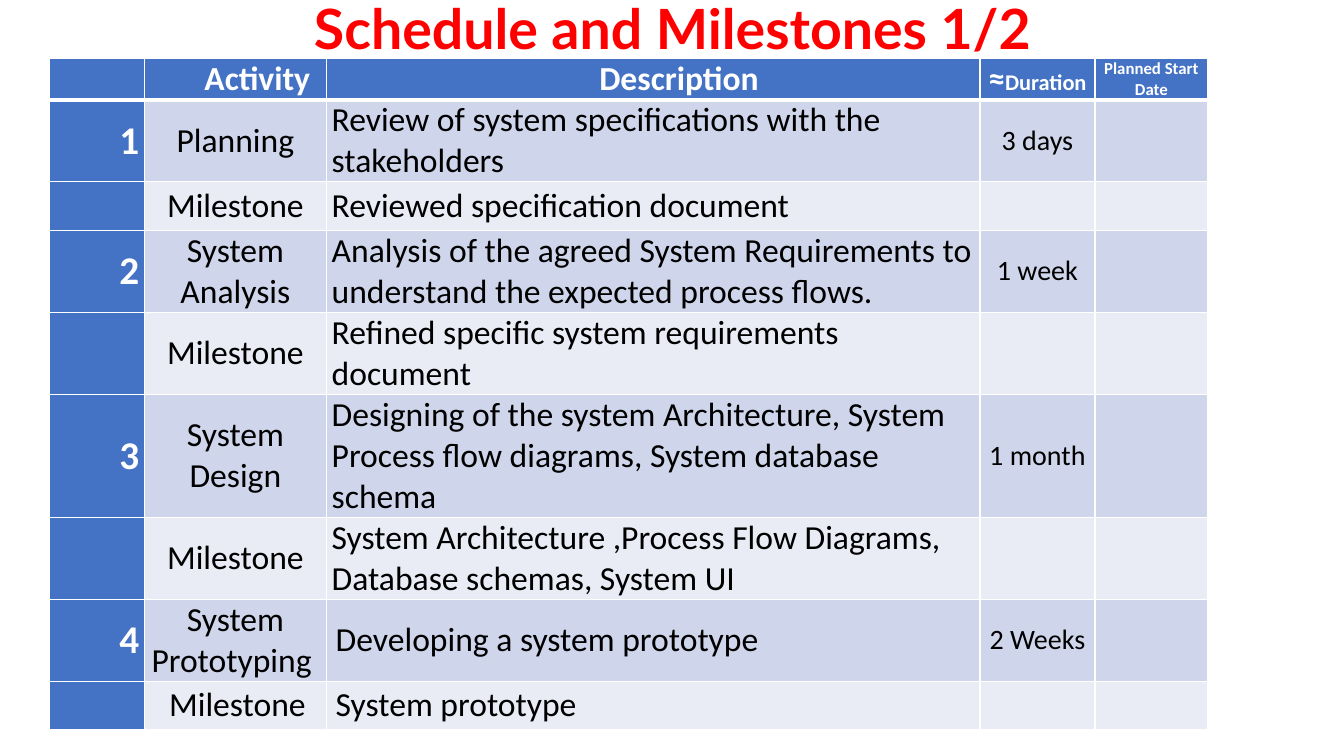
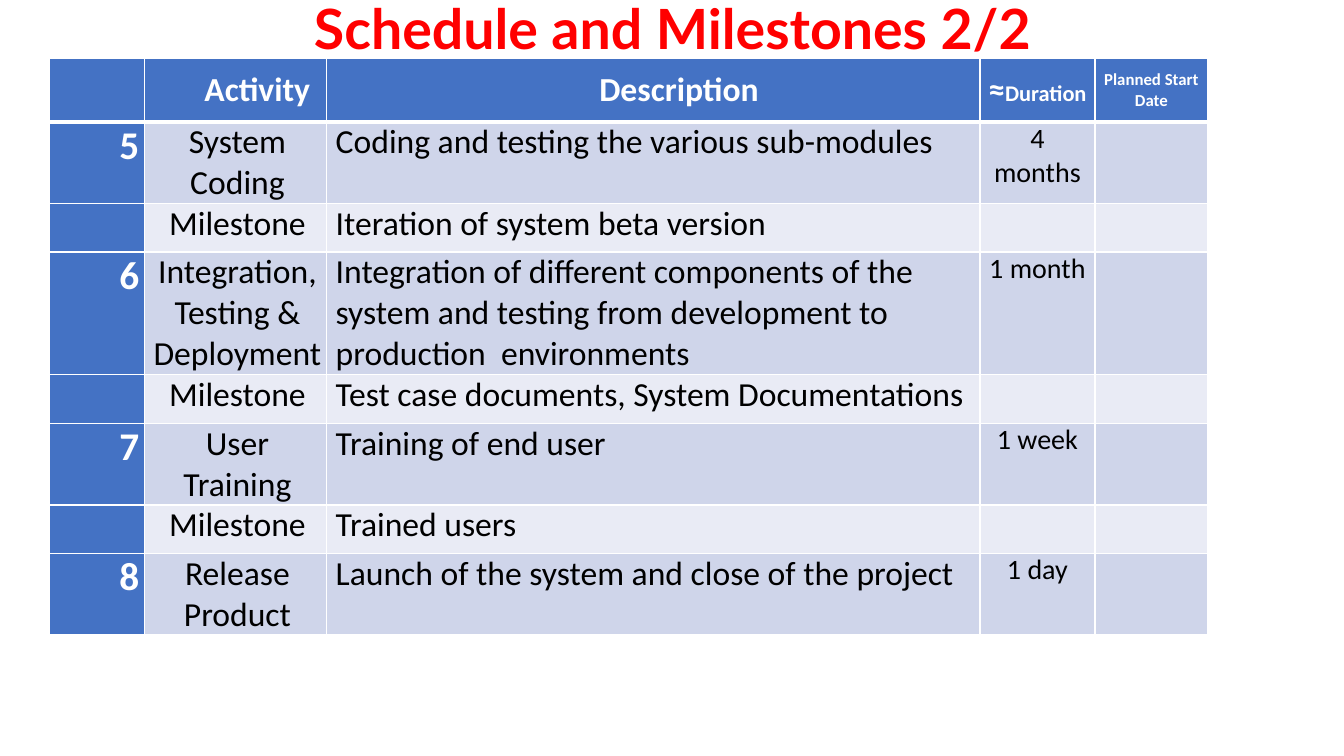
from dataclasses import dataclass

from lxml import etree
from pptx import Presentation
from pptx import util as u
from pptx.dml.color import RGBColor
from pptx.enum import text
from pptx.oxml import ns

COLORS = {
    "title": "FF0000",
    "accent": "4472C4",
    "activity": "CFD5EA",
    "milestone": "E9EBF5",
    "light": "FFFFFF",
    "dark": "000000",
}
TITLE_FONT, BODY_FONT = "Lato", "Calibri"
COLUMN_WIDTHS = (0.94, 1.81, 6.48, 1.14, 1.12)
# Row heights by the number of text lines a row holds
ROW_HEIGHTS = {1: 0.48, 2: 0.81, 3: 1.22}
NUMBER_INDENT, TEXT_INDENT = 0.51, 0.04
LEFT, CENTER, RIGHT = text.PP_ALIGN.LEFT, text.PP_ALIGN.CENTER, text.PP_ALIGN.RIGHT


@dataclass
class Task:
    activity: str
    description: str
    number: str = ""
    duration: str = ""
    lines: int = 1
    activity_indent: float = TEXT_INDENT
    description_indent: float = TEXT_INDENT


def plain(activity, description, number="", duration="", lines=1):
    """A task whose texts are not indented."""
    return Task(activity, description, number, duration, lines, 0, 0)


@dataclass
class Schedule:
    title: str
    header_height: float
    anchor: text.MSO_ANCHOR
    tasks: list


SCHEDULES = [
    Schedule("Schedule and Milestones 1/2", 0.41, text.MSO_ANCHOR.MIDDLE, [
        plain("Planning", "Review of system specifications with the stakeholders",
              "1", "3 days", 2),
        plain("Milestone", "Reviewed specification document"),
        plain("System Analysis",
              "Analysis of the agreed System Requirements to understand "
              "the expected process flows.", "2", "1 week", 2),
        plain("Milestone", "Refined specific system requirements document", lines=2),
        plain("System Design",
              "Designing of the system Architecture, System Process flow diagrams, "
              "System database schema", "3", "1 month", 3),
        plain("Milestone",
              "System Architecture ,Process Flow Diagrams, Database schemas, System UI",
              lines=2),
        Task("System Prototyping ", "Developing a system prototype",
             "4", "2 Weeks", 2, activity_indent=0),
        Task("Milestone", "System prototype"),
    ]),
    Schedule("Schedule and Milestones 2/2", 0.63, text.MSO_ANCHOR.TOP, [
        Task("System Coding", "Coding and testing the various sub-modules",
             "5", "4 months", 2),
        Task("Milestone", "Iteration of system beta version"),
        Task("Integration, Testing & Deployment",
             "Integration of different components of the system and testing "
             "from development to production  environments", "6", "1 month", 3),
        Task("Milestone", "Test case documents, System Documentations"),
        Task("User Training", "Training of end user", "7", "1 week", 2),
        Task("Milestone", "Trained users"),
        Task("Release Product", "Launch of the system and close of the project",
             "8", "1 day", 2),
    ]),
]


def write(para, words, size=24, color="dark", bold=False, font=BODY_FONT,
          align=CENTER, indent=0):
    """Add one formatted span to a paragraph."""
    para.alignment = align
    if indent:
        properties = para._p.get_or_add_pPr()
        properties.set("marL", str(u.Inches(indent)))
        properties.set("indent", "0")
    span = para.add_run()
    span.text = words
    span.font.name = font
    span.font.size = u.Pt(size)
    span.font.bold = bold
    span.font.color.rgb = RGBColor.from_string(COLORS[color])


def set_borders(cell, top, bottom):
    """Draw white cell borders; top and bottom widths are in points."""
    properties = cell._tc.get_or_add_tcPr()
    for side, width in (("L", 1), ("R", 1), ("T", top), ("B", bottom)):
        line = etree.SubElement(properties, ns.qn(f"a:ln{side}"), w=str(u.Pt(width)))
        fill = etree.SubElement(line, ns.qn("a:solidFill"))
        etree.SubElement(fill, ns.qn("a:srgbClr"), val=COLORS["light"])


def format_cell(cell, fill, anchor, top=1, bottom=1):
    set_borders(cell, top, bottom)
    cell.fill.solid()
    cell.fill.fore_color.rgb = RGBColor.from_string(COLORS[fill])
    cell.margin_left = cell.margin_right = u.Inches(0.05)
    cell.margin_top = cell.margin_bottom = 0
    cell.vertical_anchor = anchor


def fill_header(cells):
    for cell in cells:
        format_cell(cell, "accent", text.MSO_ANCHOR.MIDDLE, bottom=3)
    labels = [
        (1, "Activity  ", 24, NUMBER_INDENT),
        (2, "Description", 24, NUMBER_INDENT),
        (3, "≈", 24, 0),
        (3, "Duration", 16, 0),
        (4, "Planned Start Date", 12, 0),
    ]
    for column, label, size, indent in labels:
        write(cells[column].text_frame.paragraphs[0], label, size=size,
              color="light", bold=True, indent=indent)


def fill_task(cells, task, anchor, top):
    band = "activity" if task.number else "milestone"
    for column, cell in enumerate(cells):
        format_cell(cell, band if column else "accent", anchor, top=top)
    entries = [
        (task.number, dict(size=28, color="light", bold=True, align=RIGHT,
                           indent=NUMBER_INDENT)),
        (task.activity, dict(indent=task.activity_indent)),
        (task.description, dict(align=LEFT, indent=task.description_indent)),
        (task.duration, dict(size=20)),
    ]
    for cell, (words, style) in zip(cells, entries):
        if words:
            write(cell.text_frame.paragraphs[0], words, **style)


def add_schedule_table(page, schedule):
    heights = [schedule.header_height] + [ROW_HEIGHTS[t.lines] for t in schedule.tasks]
    table = page.shapes.add_table(
        len(heights), len(COLUMN_WIDTHS), u.Inches(0.49), u.Inches(0.58),
        u.Inches(sum(COLUMN_WIDTHS)), u.Inches(sum(heights))).table
    table.horz_banding = False
    for column, width in zip(table.columns, COLUMN_WIDTHS):
        column.width = u.Inches(width)
    for row, height in zip(table.rows, heights):
        row.height = u.Inches(height)
    rows = [list(row.cells) for row in table.rows]
    fill_header(rows[0])
    for index, (cells, task) in enumerate(zip(rows[1:], schedule.tasks)):
        fill_task(cells, task, schedule.anchor, top=1 if index else 3)


def add_title(page, words):
    box = page.shapes.add_textbox(u.Inches(0.92), 0, u.Inches(11.5), u.Inches(0.62))
    frame = box.text_frame
    frame.word_wrap = True
    frame.margin_top = frame.margin_bottom = 0
    frame.vertical_anchor = text.MSO_ANCHOR.MIDDLE
    para = frame.paragraphs[0]
    para.line_spacing = 0.9
    write(para, words, size=39.6, color="title", bold=True, font=TITLE_FONT)


def main():
    deck = Presentation()
    deck.slide_width, deck.slide_height = u.Inches(13.33), u.Inches(7.5)
    for schedule in SCHEDULES:
        page = deck.slides.add_slide(deck.slide_layouts[6])
        add_schedule_table(page, schedule)
        add_title(page, schedule.title)
    deck.save("out.pptx")


if __name__ == "__main__":
    main()
